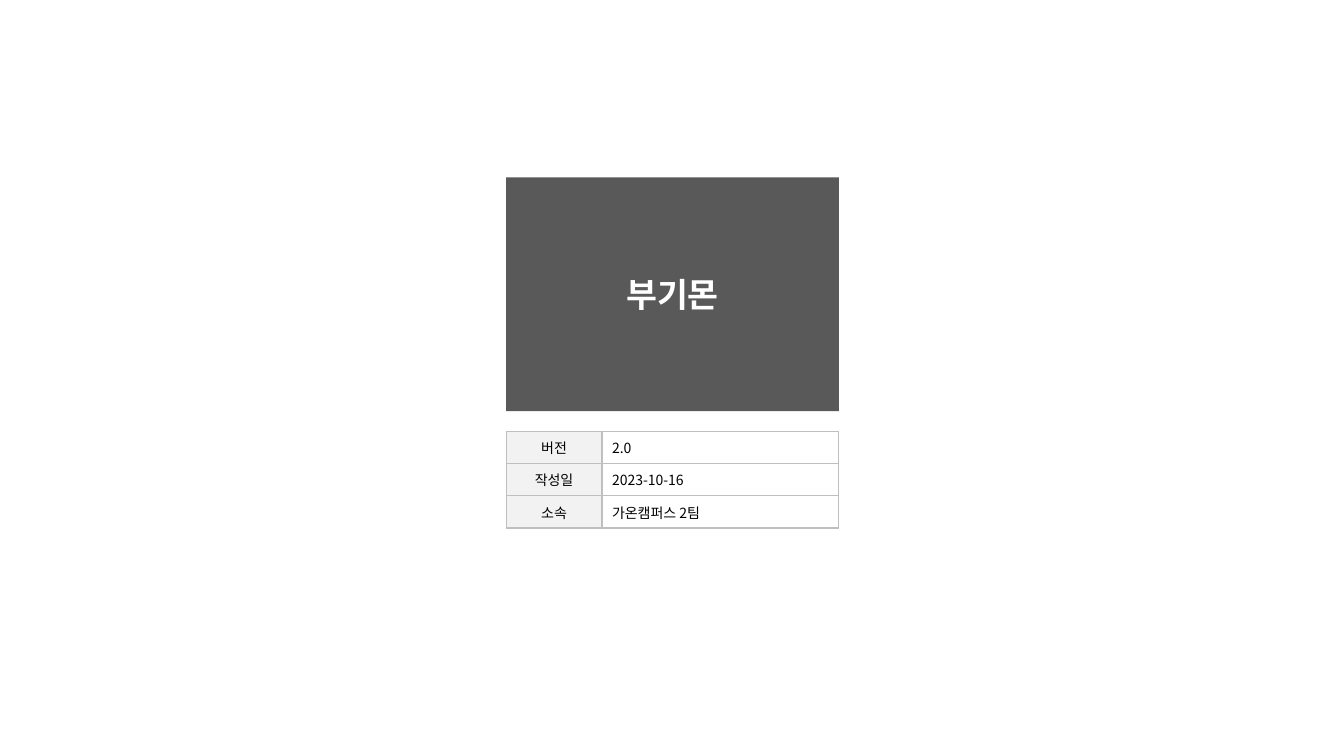
import dataclasses

import pptx
import pptx.dml.color
import pptx.enum.shapes
import pptx.enum.text
import pptx.oxml
import pptx.oxml.ns
import pptx.util

EMU_PER_PX = 9144  # 100 px to the inch
ALIGN = pptx.enum.text.PP_ALIGN
ANCHOR = pptx.enum.text.MSO_ANCHOR


@dataclasses.dataclass(frozen=True)
class Theme:
    font: str = "Noto Sans CJK KR"
    title_size: int = 24
    table_size: int = 10
    panel: str = "595959"
    title: str = "FFFFFF"
    text: str = "000000"
    label_fill: str = "F2F2F2"
    border: str = "BFBFBF"
    border_width: int = 1


def px(length):
    return pptx.util.Emu(length * EMU_PER_PX)


def rgb(color):
    return pptx.dml.color.RGBColor.from_string(color)


def set_values(target, values):
    for name, value in values.items():
        setattr(target, name, value)


class CoverBuilder:
    def __init__(self, slide, theme):
        self.slide = slide
        self.theme = theme

    def add_text(self, frame, text, size, color, align, bold=False):
        paragraph = frame.paragraphs[0]
        paragraph.alignment = align
        run = paragraph.add_run()
        run.text = text
        set_values(run.font, {"name": self.theme.font, "size": pptx.util.Pt(size), "bold": bold})
        run.font.color.rgb = rgb(color)
        # Hangul takes the East Asian typeface
        east_asian = pptx.oxml.parse_xml(
            f'<a:ea {pptx.oxml.ns.nsdecls("a")} typeface="{self.theme.font}"/>')
        run.font._element.find(pptx.oxml.ns.qn("a:latin")).addnext(east_asian)

    def panel(self, left, top, width, height):
        shape = self.slide.shapes.add_shape(
            pptx.enum.shapes.MSO_SHAPE.RECTANGLE, *map(px, (left, top, width, height)))
        shape.shadow.inherit = False
        shape.fill.solid()
        shape.fill.fore_color.rgb = rgb(self.theme.panel)
        shape.line.fill.background()

    def title(self, text, left, top, width, height):
        shape = self.slide.shapes.title
        set_values(shape, {"left": px(left), "top": px(top),
                           "width": px(width), "height": px(height)})
        set_values(shape.text_frame, {
            "word_wrap": True,
            "vertical_anchor": ANCHOR.MIDDLE,
            "auto_size": pptx.enum.text.MSO_AUTO_SIZE.SHAPE_TO_FIT_TEXT,
        })
        self.add_text(shape.text_frame, text, self.theme.title_size,
                      self.theme.title, ALIGN.CENTER, bold=True)
        # Bring the title in front of the panel
        self.slide.shapes._spTree.append(shape._element)

    def border(self, cell):
        properties = cell._tc.get_or_add_tcPr()
        width = pptx.util.Pt(self.theme.border_width)
        for index, side in enumerate(("lnL", "lnR", "lnT", "lnB")):
            properties.insert(index, pptx.oxml.parse_xml(
                f'<a:{side} {pptx.oxml.ns.nsdecls("a")} w="{width}"><a:solidFill>'
                f'<a:srgbClr val="{self.theme.border}"/></a:solidFill></a:{side}>'))

    def table(self, rows, left, top, column_widths, row_height):
        table = self.slide.shapes.add_table(
            len(rows), len(column_widths), px(left), px(top),
            px(sum(column_widths)), px(row_height * len(rows))).table
        set_values(table, {"first_row": False, "horz_banding": False})
        for column, width in zip(table.columns, column_widths):
            column.width = px(width)
        for row, texts in zip(table.rows, rows):
            row.height = px(row_height)
            for index, (cell, text) in enumerate(zip(row.cells, texts)):
                is_label = index == 0
                cell.vertical_anchor = ANCHOR.MIDDLE
                if is_label:
                    cell.fill.solid()
                    cell.fill.fore_color.rgb = rgb(self.theme.label_fill)
                else:
                    cell.fill.background()
                self.border(cell)
                self.add_text(cell.text_frame, text, self.theme.table_size, self.theme.text,
                              ALIGN.CENTER if is_label else ALIGN.LEFT)


def main():
    presentation = pptx.Presentation()
    set_values(presentation, {"slide_width": px(1333), "slide_height": px(750)})
    title_only = presentation.slide_layouts[5]
    cover = CoverBuilder(presentation.slides.add_slide(title_only), Theme())

    # Document details
    details = [("버전", "2.0"), ("작성일", "2023-10-16"), ("소속", "가온캠퍼스 2팀")]
    cover.table(details, 502, 428, (95, 235), 32)

    # Title on its panel
    cover.panel(502, 176, 330, 232)
    cover.title("부기몬", 603, 267, 128, 50)

    presentation.save("out.pptx")


if __name__ == "__main__":
    main()
